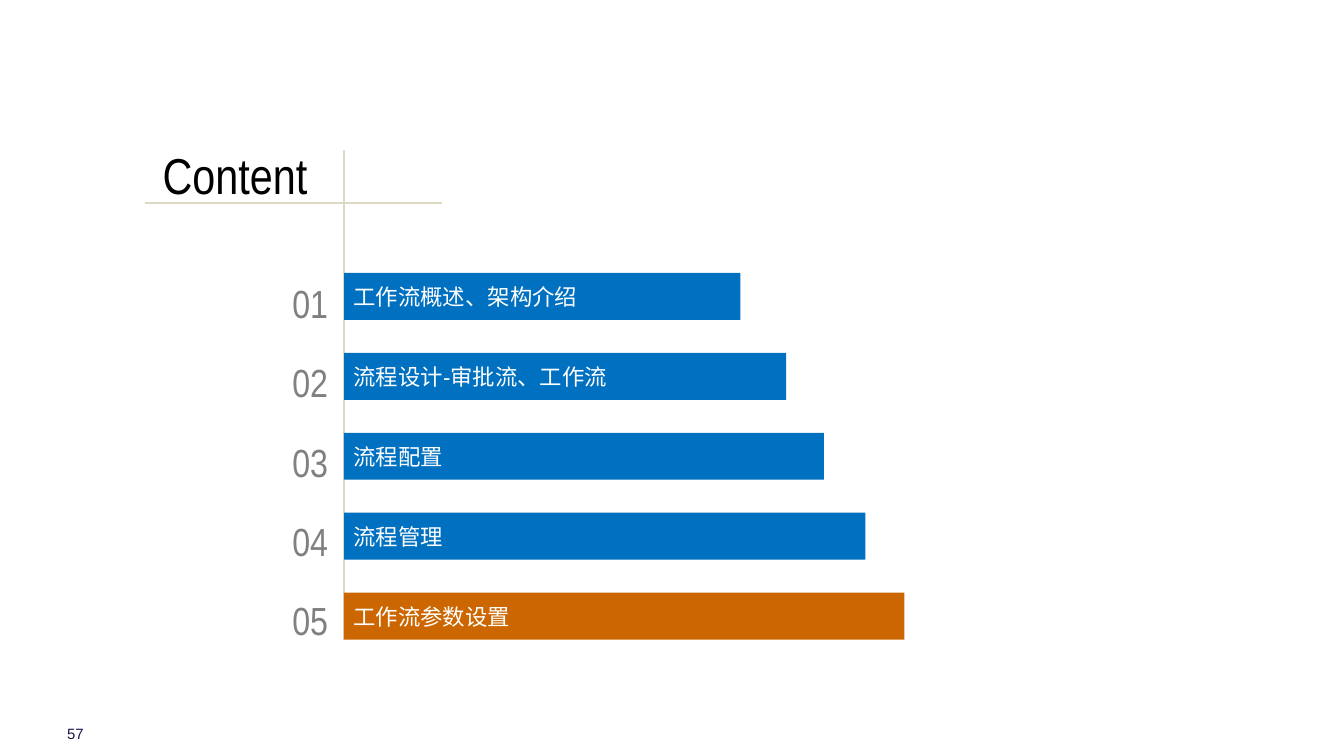
from lxml.etree import SubElement
from pptx import Presentation
from pptx.dml.color import RGBColor
from pptx.enum.shapes import MSO_CONNECTOR, MSO_SHAPE
from pptx.enum.text import MSO_ANCHOR, MSO_AUTO_SIZE, PP_ALIGN
from pptx.oxml.ns import qn
from pptx.util import Inches, Pt

BLUE, ORANGE, BEIGE, GREY = "0070C0", "CC6600", "DDD9C3", "808080"
SLIDE_WIDTH = 10
AXIS_LEFT = 2.56
BAR_TOP, BAR_STEP = 2.03, 2.38 / 4
NUMBER_TOP, NUMBER_STEP = 1.96, 0.59
CHAPTERS = [
    ("工作流概述、架构介绍", 2.95, BLUE),
    ("流程设计-审批流、工作流", 3.29, BLUE),
    ("流程配置", 3.57, BLUE),
    ("流程管理", 3.88, BLUE),
    ("工作流参数设置", 4.17, ORANGE),
]


def color(value):
    """Return the colour for a hex string."""
    return RGBColor.from_string(value)


def set_text(shape, text, font, size, text_color, align=PP_ALIGN.LEFT):
    """Put one formatted paragraph in a shape and return it."""
    shape.text_frame.text = text
    paragraph = shape.text_frame.paragraphs[0]
    paragraph.alignment = align
    run_font = paragraph.runs[0].font
    run_font.name = font
    run_font.size = Pt(size)
    run_font.color.rgb = color(text_color)
    return paragraph


def set_margins(text_frame, horizontal, vertical):
    """Set the inner margins of a text frame."""
    text_frame.margin_left = text_frame.margin_right = Inches(horizontal)
    text_frame.margin_top = text_frame.margin_bottom = Inches(vertical)


def add_title(slide, text):
    """Move the title placeholder above the rule and fill it."""
    title = slide.shapes.title
    title.left, title.top = Inches(1.11), Inches(1.02)
    title.width, title.height = Inches(2.04), Inches(0.44)
    set_text(title, text, "Arial Narrow", 27, "000000")
    title.text_frame.auto_size = MSO_AUTO_SIZE.NONE
    title.text_frame.vertical_anchor = MSO_ANCHOR.TOP


def add_rule(slide, start, end):
    """Draw a thin beige line between two points."""
    rule = slide.shapes.add_connector(
        MSO_CONNECTOR.STRAIGHT, *map(Inches, start + end))
    rule.line.color.rgb = color(BEIGE)
    rule.line.width = Pt(1)
    SubElement(rule._element.spPr, qn("a:effectLst"))


def add_number(slide, top, text):
    """Add a chapter number left of the axis."""
    box = slide.shapes.add_textbox(
        Inches(1.96), Inches(top), Inches(0.58), Inches(0.53))
    box.text_frame.word_wrap = True
    paragraph = set_text(box, text, "Arial Narrow", 21, GREY, PP_ALIGN.RIGHT)
    paragraph.line_spacing = 1.2


def add_bar(slide, top, width, text, fill):
    """Add a chapter bar that starts at the axis."""
    bar = slide.shapes.add_shape(
        MSO_SHAPE.RECTANGLE, Inches(AXIS_LEFT), Inches(top),
        Inches(width), Inches(0.35))
    bar.shadow.inherit = False
    bar.fill.solid()
    bar.fill.fore_color.rgb = color(fill)
    bar.line.fill.background()
    set_margins(bar.text_frame, 0.07, 0.04)
    bar.text_frame.vertical_anchor = MSO_ANCHOR.MIDDLE
    set_text(bar, text, "Arial", 12, "FFFFFF")


def add_page_number(slide, text):
    """Add the page number at the lower left."""
    box = slide.shapes.add_textbox(
        Inches(0.5), Inches(5.39), Inches(0.25), Inches(0.14))
    box.text_frame.word_wrap = True
    box.text_frame.vertical_anchor = MSO_ANCHOR.MIDDLE
    set_margins(box.text_frame, 0, 0)
    set_text(box, text, "Arial", 8, "1A154C")


def main():
    """Build the contents slide and save it."""
    presentation = Presentation()
    presentation.slide_width = Inches(SLIDE_WIDTH)
    presentation.slide_height = Inches(SLIDE_WIDTH * 9 / 16)
    slide = presentation.slides.add_slide(presentation.slide_layouts[5])
    add_title(slide, "Content")
    add_rule(slide, (AXIS_LEFT, 1.12), (AXIS_LEFT, 4.76))
    add_rule(slide, (1.08, 1.51), (3.29, 1.51))
    for index, (text, width, fill) in enumerate(CHAPTERS):
        add_number(slide, NUMBER_TOP + index * NUMBER_STEP, f"{index + 1:02}")
        add_bar(slide, BAR_TOP + index * BAR_STEP, width, text, fill)
    add_page_number(slide, "57")
    presentation.save("out.pptx")


if __name__ == "__main__":
    main()
